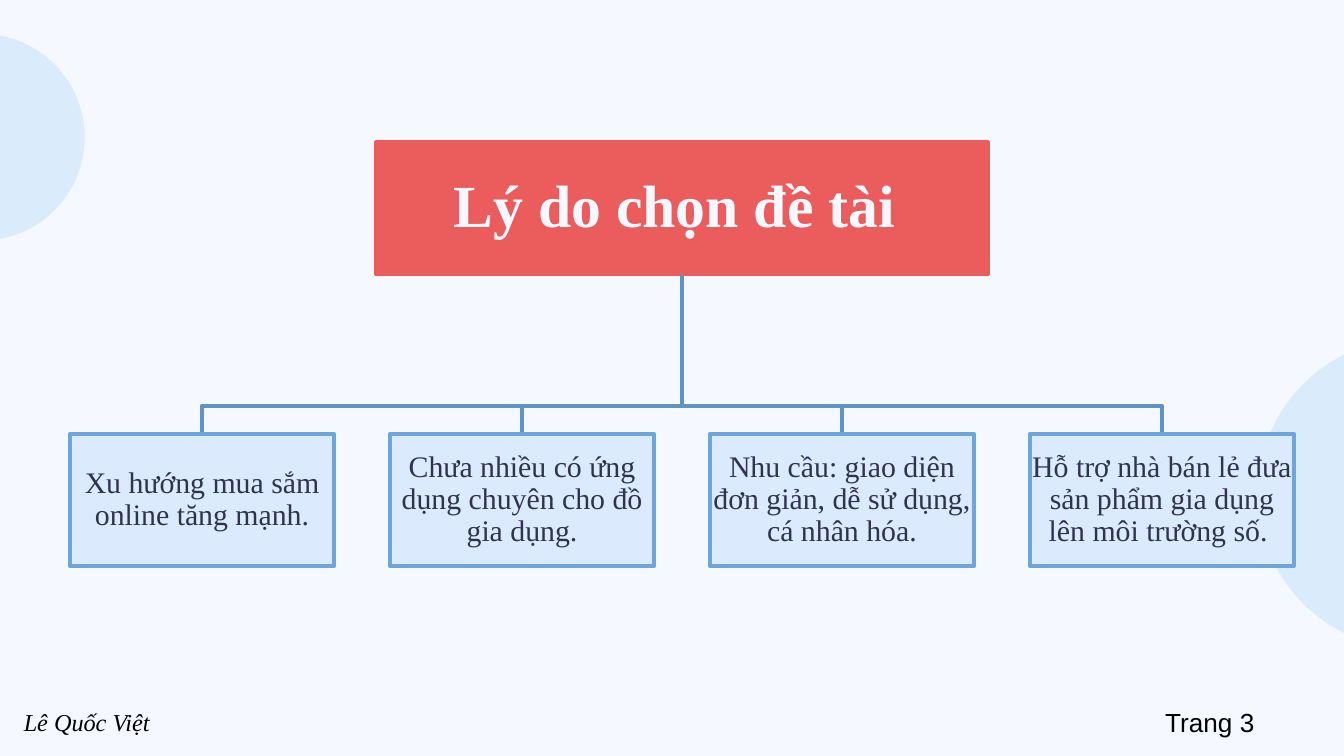
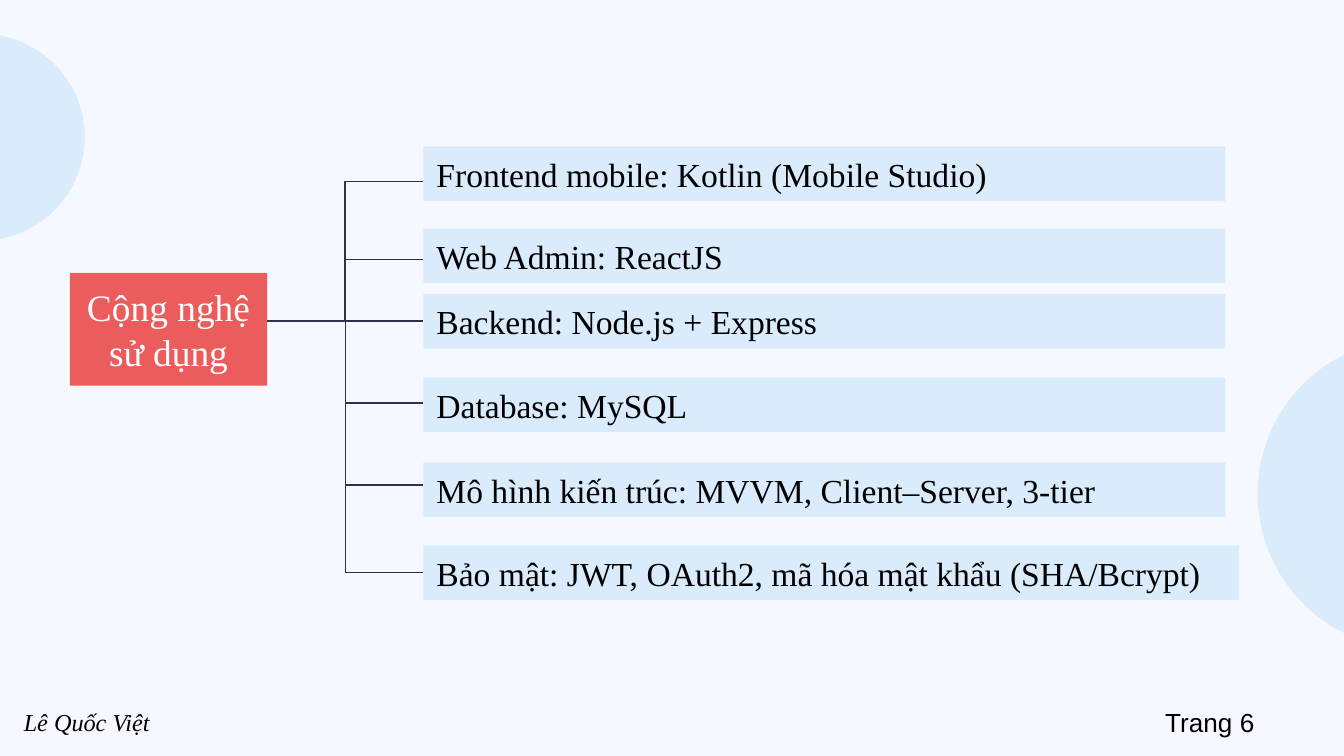
from dataclasses import dataclass
from itertools import pairwise

from lxml.etree import SubElement
from pptx import Presentation
from pptx.dml.color import RGBColor
from pptx.enum.shapes import MSO_CONNECTOR as Connector, MSO_SHAPE as Shape
from pptx.enum.text import MSO_ANCHOR as Anchor, MSO_AUTO_SIZE as AutoSize, PP_ALIGN as Align
from pptx.oxml.ns import qn
from pptx.util import Cm, Pt


@dataclass(frozen=True)
class Theme:
    background: str = "F5F9FF"
    accent: str = "EB5C5C"
    tint: str = "76B8F4"
    tint_alpha: int = 21
    card: str = "DBEBFD"
    card_border: str = "6BA7DD"
    tree_line: str = "5E93C3"
    bracket_line: str = "2D3151"
    ink: str = "2F3352"
    black: str = "000000"
    white: str = "FFFFFF"
    serif: str = "Times New Roman"
    sans: str = "Arial"
    headline_size: int = 32
    topic_size: int = 20
    item_size: int = 18
    card_size: int = 16
    page_size: int = 14
    author_size: int = 13


@dataclass(frozen=True)
class Box:
    """A region in centimetres."""
    left: float
    top: float
    width: float
    height: float

    @property
    def center(self):
        return self.left + self.width / 2

    @property
    def bottom(self):
        return self.top + self.height

    def emu(self):
        return Cm(self.left), Cm(self.top), Cm(self.width), Cm(self.height)


THEME = Theme()
PAGE = Box(0, 0, 25.4, 14.29)
AUTHOR = "Lê Quốc Việt"

REASONS = [
    "Xu hướng mua sắm online tăng mạnh.",
    "Chưa nhiều có ứng dụng chuyên cho đồ gia dụng.",
    "Nhu cầu: giao diện đơn giản, dễ sử dụng, cá nhân hóa.",
    "Hỗ trợ nhà bán lẻ đưa sản phẩm gia dụng lên môi trường số. ",
]

# Text, top and width of each bar, relative to the list of bars
TECHNOLOGIES = [
    ("Frontend mobile: Kotlin (Mobile Studio)", 0, 15.16),
    ("Web Admin: ReactJS", 1.55, 15.16),
    ("Backend: Node.js + Express", 2.79, 15.16),
    ("Database: MySQL", 4.37, 15.16),
    ("Mô hình kiến trúc: MVVM, Client–Server, 3-tier", 5.97, 15.16),
    ("Bảo mật: JWT, OAuth2, mã hóa mật khẩu (SHA/Bcrypt)", 7.54, 15.42),
]
# Heights at which the bracket meets the bars, from the same top
BRANCHES = [0.66, 2.13, 3.3, 4.85, 6.4, 8.05]


def rgb(code):
    return RGBColor.from_string(code)


def paint(shape, fill, border=None, alpha=None):
    shape.shadow.inherit = False
    shape.fill.solid()
    shape.fill.fore_color.rgb = rgb(fill)
    if alpha is not None:
        color = shape.fill._xPr.find(f".//{qn('a:srgbClr')}")
        SubElement(color, qn("a:alpha"), val=str(alpha * 1000))
    if border:
        shape.line.color.rgb = rgb(border)
        shape.line.width = Pt(2)
    else:
        shape.line.fill.background()


def write(shape, text, size, color, font=THEME.serif, bold=False, italic=False,
          align=Align.LEFT, anchor=Anchor.MIDDLE, inset=0.25, spacing=1.0):
    frame = shape.text_frame
    frame.text = text
    frame.word_wrap = True
    frame.auto_size = AutoSize.NONE
    frame.vertical_anchor = anchor
    frame.margin_left = frame.margin_right = Cm(inset)
    frame.margin_top = frame.margin_bottom = Cm(inset)
    paragraph = frame.paragraphs[0]
    paragraph.alignment = align
    paragraph.line_spacing = spacing
    paragraph.space_before = Pt(0)
    style = paragraph.font
    style.name, style.size, style.color.rgb = font, Pt(size), rgb(color)
    style.bold, style.italic = bold, italic


def place_title(slide, box, text, size, color, border=None, **style):
    title = slide.shapes.title
    title.left, title.top, title.width, title.height = box.emu()
    paint(title, THEME.accent, border)
    write(title, text, size, color, align=Align.CENTER, **style)


def add_box(slide, kind, box, fill, border=None, alpha=None):
    shape = slide.shapes.add_shape(kind, *box.emu())
    paint(shape, fill, border, alpha)
    return shape


def add_footer_text(slide, box, text, size, **style):
    label = slide.shapes.add_textbox(*box.emu())
    write(label, text, size, THEME.black, anchor=Anchor.TOP, **style)
    label.text_frame.margin_top = label.text_frame.margin_bottom = Cm(0.13)


def add_page(deck, number):
    """Add a slide with the circles and footer that all slides share."""
    slide = deck.slides.add_slide(deck.slide_layouts.get_by_name("Title Only"))
    for circle in (Box(23.77, 6.4, 5.87, 5.87), Box(-2.31, 0.64, 3.91, 3.91)):
        add_box(slide, Shape.OVAL, circle, THEME.tint, alpha=THEME.tint_alpha)
    add_footer_text(slide, Box(21.77, 13.23, 3.05, 0.86), f"Trang {number}",
                    THEME.page_size, font=THEME.sans)
    add_footer_text(slide, Box(0.2, 13.23, 5.05, 0.81), AUTHOR,
                    THEME.author_size, italic=True)
    return slide


def add_branch(slide, start, bend, end):
    """Draw a line that goes down, across at the height of the bend, and down."""
    points = [start, (start[0], bend), (end[0], bend), end]
    corners = [(Cm(x), Cm(y)) for x, y in points]
    builder = slide.shapes.build_freeform(*corners[0])
    builder.add_line_segments(corners[1:], close=False)
    branch = builder.convert_to_shape()
    branch.shadow.inherit = False
    branch.fill.background()
    branch.line.color.rgb = rgb(THEME.tree_line)
    branch.line.width = Pt(2)


def add_rule(slide, start, end, color=THEME.bracket_line, kind=Connector.STRAIGHT):
    rule = slide.shapes.add_connector(kind, *(Cm(v) for v in (*start, *end)))
    rule.line.color.rgb = rgb(color)
    rule.line.width = Pt(0.75)
    SubElement(rule._element.spPr, qn("a:effectLst"))


def build_reason_tree(slide, area):
    row_height, card_width = 2.5, 5
    headline = Box(area.center - 5.78, area.top, 11.56, row_height)
    step = (area.width - card_width) / (len(REASONS) - 1)
    cards = [Box(area.left + i * step, area.bottom - row_height, card_width, row_height)
             for i in range(len(REASONS))]
    for card in cards:
        add_branch(slide, (headline.center, headline.bottom), card.top - 0.53,
                   (card.center, card.top))
    place_title(slide, headline, "Lý do chọn đề tài ", THEME.headline_size,
                THEME.background, border=THEME.accent, bold=True, inset=0.05, spacing=0.9)
    for card, reason in zip(cards, REASONS):
        shape = add_box(slide, Shape.RECTANGLE, card, THEME.card, THEME.card_border)
        write(shape, reason, THEME.card_size, THEME.ink, align=Align.CENTER,
              inset=0.03, spacing=0.9)


def build_technology_bracket(slide, area):
    topic = Box(area.left, area.top + 2.39, 3.73, 2.13)
    topic_right = topic.left + topic.width
    bars_left = area.left + 6.68
    spine = (topic_right + bars_left) / 2
    first, *others = [area.top + branch for branch in BRANCHES]

    place_title(slide, topic, "Cộng nghệ sử dụng", THEME.topic_size, THEME.white)
    add_rule(slide, (bars_left, first), (topic_right, others[1]), THEME.ink, Connector.ELBOW)
    for height in others:
        add_rule(slide, (spine, height), (bars_left, height))
    for upper, lower in pairwise(others[1:]):
        add_rule(slide, (spine, upper), (spine, lower))
    for technology, top, width in TECHNOLOGIES:
        bar = add_box(slide, Shape.RECTANGLE, Box(bars_left, area.top + top, width, 1.03),
                      THEME.tint, alpha=THEME.tint_alpha)
        write(bar, technology, THEME.item_size, THEME.black)


def main():
    deck = Presentation()
    deck.slide_width, deck.slide_height = Cm(PAGE.width), Cm(PAGE.height)
    backdrop = deck.slide_master.background.fill
    backdrop.solid()
    backdrop.fore_color.rgb = rgb(THEME.background)

    build_reason_tree(add_page(deck, 3), Box(1.32, 2.69, 23.14, 8.01))
    build_technology_bracket(add_page(deck, 6), Box(1.32, 2.77, 22.1, 8.57))
    deck.save("out.pptx")


if __name__ == "__main__":
    main()
